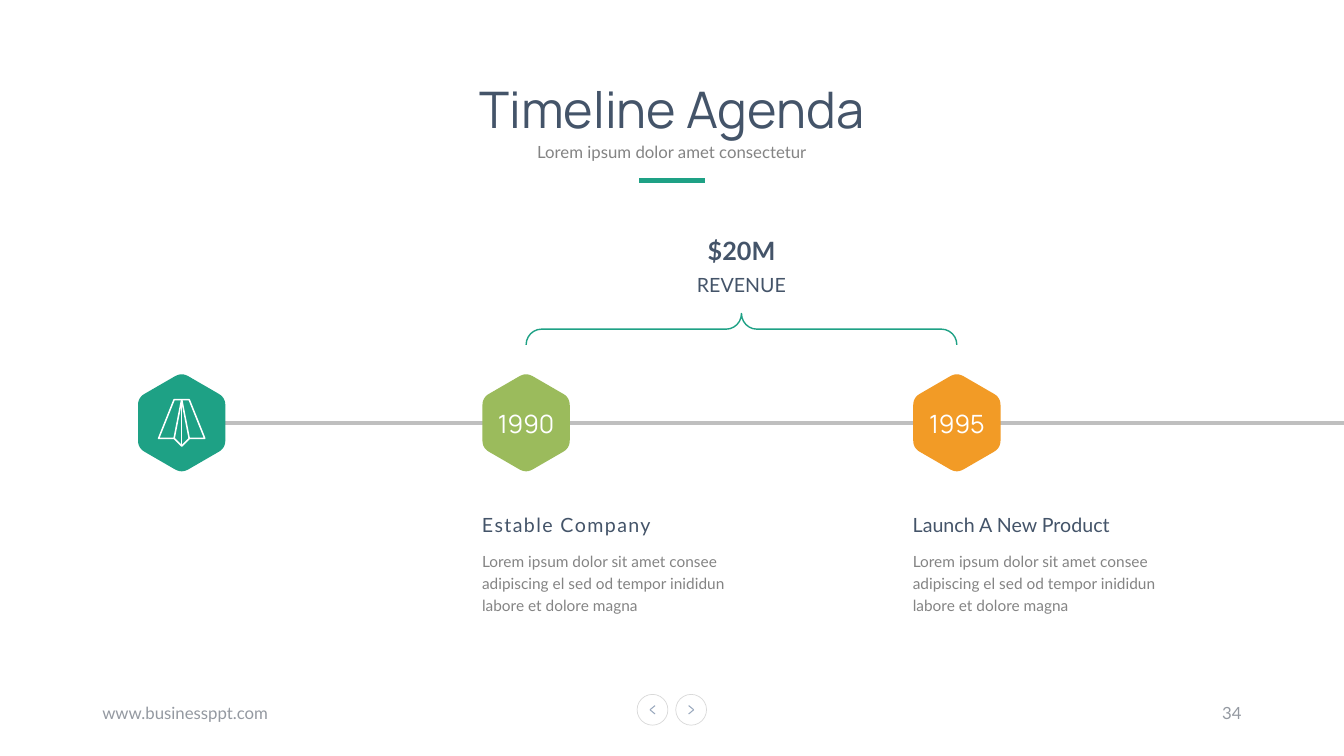
from dataclasses import dataclass
from math import cos, radians, sin

from lxml.etree import SubElement
from pptx import Presentation
from pptx.dml.color import RGBColor as Rgb
from pptx.enum.shapes import MSO_CONNECTOR as Link, MSO_SHAPE as Preset
from pptx.enum.text import MSO_ANCHOR as Anchor, MSO_AUTO_SIZE as Fit, PP_ALIGN as Align
from pptx.oxml.ns import qn
from pptx.util import Pt


@dataclass(frozen=True)
class Theme:
    teal = Rgb.from_string("1EA185")
    green = Rgb.from_string("9BBB5C")
    orange = Rgb.from_string("F29B26")
    white = Rgb.from_string("FFFFFF")
    navy = Rgb.from_string("445469")
    grey = Rgb.from_string("848484")
    muted = Rgb.from_string("9499A1")
    track = Rgb.from_string("BFBFBF")
    ring = Rgb.from_string("D9D9D9")
    arrow = Rgb.from_string("99A8BD")
    # Each style: font values, colour, line spacing
    title = ({"name": "Manrope", "size": Pt(36)}, navy, 1.0)
    subtitle = ({"name": "Lato", "size": Pt(12)}, grey, 1.4)
    amount = ({"name": "Lato", "size": Pt(18), "bold": True}, navy, 1.3)
    caption = ({"name": "Lato", "size": Pt(14)}, navy, 1.3)
    year = ({"name": "Manrope", "size": Pt(18)}, white, 1.0)
    heading = ({"name": "Lato", "size": Pt(14)}, navy, 1.0)
    body = ({"name": "Lato", "size": Pt(11)}, grey, 1.2)
    footer = ({"name": "Lato", "size": Pt(12)}, muted, 1.0)


theme = Theme()
deck = Presentation()
deck.slide_width, deck.slide_height = Pt(960), Pt(540)
slide = deck.slides.add_slide(deck.slide_layouts[5])
shapes = slide.shapes


def write(holder, box, lines, align=Align.LEFT, anchor=Anchor.TOP, wrap=True):
    """Place a text holder and fill it with (text, style) lines."""
    for side, value in zip(("left", "top", "width", "height"), box):
        setattr(holder, side, Pt(value))
    frame = holder.text_frame
    layout = {"word_wrap": wrap, "auto_size": Fit.NONE, "vertical_anchor": anchor}
    for key, value in layout.items():
        setattr(frame, key, value)
    for index, (text, (values, color, spacing)) in enumerate(lines):
        paragraph = frame.add_paragraph() if index else frame.paragraphs[0]
        paragraph.alignment, paragraph.line_spacing = align, spacing
        run = paragraph.add_run()
        run.text = text
        for key, value in values.items():
            setattr(run.font, key, value)
        run.font.color.rgb = color
    return frame


def draw_line(start, end, color, width):
    line = shapes.add_connector(Link.STRAIGHT, *map(Pt, start + end))
    line.line.color.rgb, line.line.width = color, Pt(width)
    SubElement(line._element.spPr, qn("a:effectLst"))


# Heading
write(shapes.title, (249, 52, 462, 51), [("Timeline Agenda", theme.title)], Align.CENTER)
write(shapes.add_textbox(0, 0, 0, 0), (310, 92.2, 340, 27),
      [("Lorem ipsum dolor amet consectetur", theme.subtitle)], Align.CENTER)
draw_line((456.5, 128.9), (503.5, 128.9), theme.teal, 3)

# Timeline track
axis = 302
draw_line((148, axis), (960, axis), theme.track, 3)

# Hexagon outline with rounded corners, around its own centre
radius, rounding, steps = 36, 0.15, 6
corners = [radius * complex(cos(radians(a)), sin(radians(a))) for a in range(-90, 270, 60)]
hexagon = []
for index, corner in enumerate(corners):
    before = corner + (corners[index - 1] - corner) * rounding
    after = corner + (corners[(index + 1) % 6] - corner) * rounding
    for t in (step / steps for step in range(steps + 1)):
        hexagon.append((1 - t) ** 2 * before + 2 * t * (1 - t) * corner + t * t * after)

# Milestones
start, founded, launched = 129.8, 375.8, 683.5
description = ("Lorem ipsum dolor sit amet consee adipiscing el sed od tempor "
               "inididun labore et dolore magna")
milestones = [
    (start, theme.teal, None, None, 0),
    (founded, theme.green, "1990", "Estable Company", 1),
    (launched, theme.orange, "1995", "Launch A New Product", 0),
]
for center, color, year, heading, tracking in milestones:
    outline = [(Pt(center + p.real), Pt(axis + p.imag)) for p in hexagon]
    badge = shapes.build_freeform(*outline[0]).add_line_segments(outline[1:]).convert_to_shape()
    badge.shadow.inherit = False
    badge.fill.solid()
    badge.fill.fore_color.rgb = color
    badge.line.fill.background()
    if not year:
        continue
    write(shapes.add_textbox(0, 0, 0, 0), (center - 28.5, 288, 57, 29),
          [(year, theme.year)], Align.CENTER, wrap=False)
    label = write(shapes.add_textbox(0, 0, 0, 0), (center - 38.6, 363, 235, 24.5),
                  [(heading, theme.heading)])
    if tracking:
        label.paragraphs[0].runs[0]._r.get_or_add_rPr().set("spc", str(tracking * 100))
    write(shapes.add_textbox(0, 0, 0, 0), (center - 38.6, 388.1, 209, 55.4),
          [(description, theme.body)])

# Paper plane in the first hexagon
wings = [(-5.4, -16.5), (5.4, -16.5), (16.5, 11.2), (5.4, 11.2),
         (0, 16.6), (-5.4, 11.2), (-16.5, 11.2), (-5.4, -16.5)]
folds = [[(0, -16.5), (x, y)] for x, y in ((-5.4, 11.2), (0, 16.6), (5.4, 11.2))]
strokes = [[(Pt(start + x), Pt(axis + y)) for x, y in stroke] for stroke in [wings, *folds]]
builder = shapes.build_freeform(*strokes[0][0])
for stroke in strokes:
    builder.move_to(*stroke[0])
    builder.add_line_segments(stroke[1:], close=False)
plane = builder.convert_to_shape()
plane.shadow.inherit = False
plane.fill.background()
plane.line.color.rgb, plane.line.width = theme.white, Pt(1.1)

# Revenue between the two milestones
middle, span, depth = (founded + launched) / 2, launched - founded, 22.4
brace = shapes.add_shape(Preset.RIGHT_BRACE, Pt(middle - depth / 2), Pt(235.1 - span / 2),
                         Pt(depth), Pt(span))
brace.rotation = 270
brace.adjustments[0], brace.adjustments[1] = 0.489, 0.5
brace.shadow.inherit = False
brace.fill.background()
brace.line.color.rgb, brace.line.width = theme.teal, Pt(1)
write(shapes.add_textbox(0, 0, 0, 0), (middle - 39.6, 158.4, 79.2, 57.6),
      [("$20M", theme.amount), ("REVENUE", theme.caption)], Align.CENTER, wrap=False)

# Page arrows
for center, direction in ((466.1, -1), (493.7, 1)):
    ring = shapes.add_shape(Preset.OVAL, Pt(center - 11), Pt(496), Pt(22), Pt(22))
    ring.shadow.inherit = False
    ring.fill.background()
    ring.line.color.rgb, ring.line.width = theme.ring, Pt(0.5)
    for rise in (-3, 3):
        draw_line((center + 1.8 * direction, 507), (center - 1.8 * direction, 507 + rise),
                  theme.arrow, 0.75)

# Footer
write(shapes.add_textbox(0, 0, 0, 0), (66, 494.8, 324, 28.8),
      [("www.businessppt.com", theme.footer)], anchor=Anchor.MIDDLE)
write(shapes.add_textbox(0, 0, 0, 0), (678, 494.8, 216, 28.8),
      [("34", theme.footer)], Align.RIGHT, Anchor.MIDDLE)

deck.save("out.pptx")
